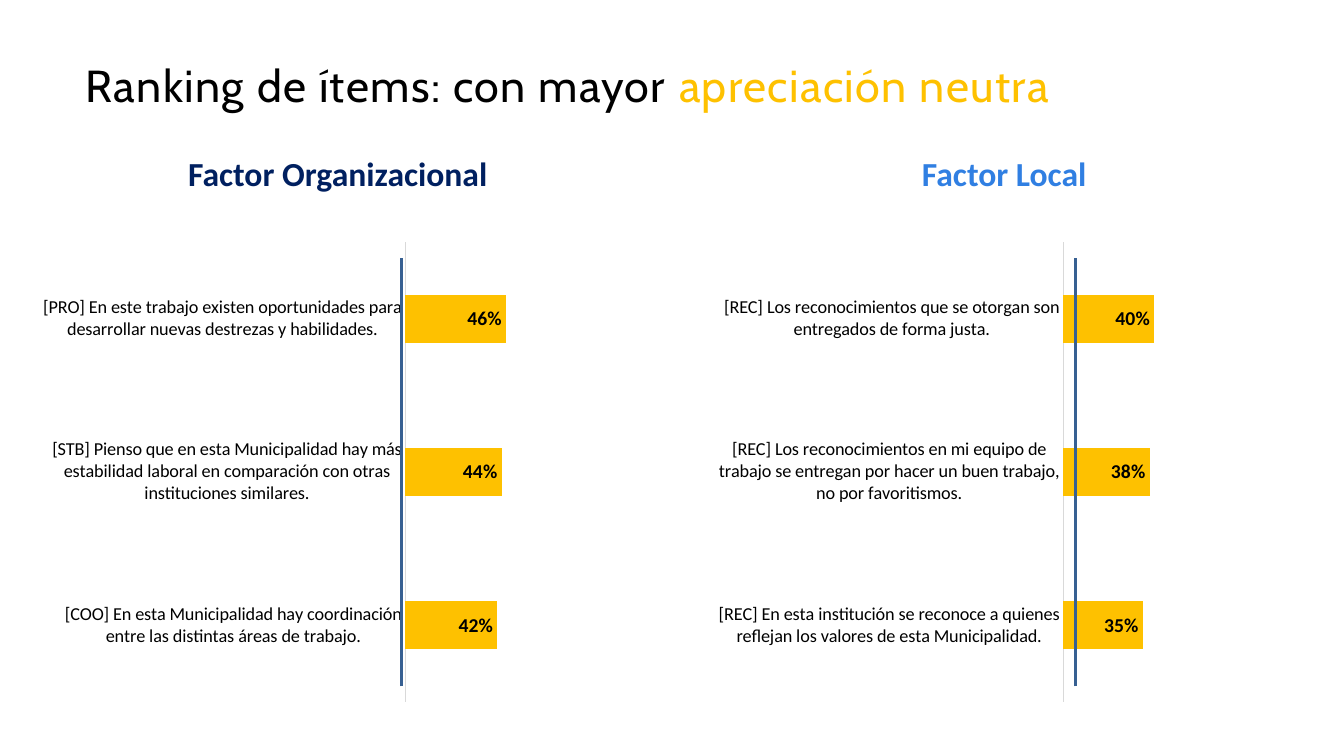
import dataclasses
import typing

import lxml.etree
import pptx
import pptx.chart.data
import pptx.dml.color
import pptx.enum.chart
import pptx.enum.shapes
import pptx.enum.text
import pptx.oxml.ns
import pptx.util

Inches = pptx.util.Inches
Align = pptx.enum.text.PP_ALIGN


@dataclasses.dataclass(frozen=True)
class Theme:
    black: str = "000000"
    white: str = "FFFFFF"
    gold: str = "FEC100"
    navy: str = "002060"
    blue: str = "307FE2"
    rule: str = "376092"
    axis: str = "D9D9D9"
    head: str = "Cabin"
    body: str = "Calibri"
    title: int = 32
    factor: int = 24
    value: int = 14
    item: int = 13
    base: int = 10


@dataclasses.dataclass(frozen=True)
class Factor:
    name: str
    color: str
    name_x: float
    chart_x: float
    rule_x: float
    items: tuple[tuple[str, float], ...]


THEME = Theme()
FACTORS = (
    Factor("Factor Organizacional", THEME.navy, 0.83, 0.4, 3.98, (
        ("[COO] En esta Municipalidad hay coordinación entre las distintas áreas de trabajo.", 0.42),
        ("[STB] Pienso que en esta Municipalidad hay más estabilidad laboral en comparación "
         "con otras instituciones similares.", 0.44),
        ("[PRO] En este trabajo existen oportunidades para desarrollar nuevas destrezas "
         "y habilidades.", 0.46),
    )),
    Factor("Factor Local", THEME.blue, 7.44, 7.01, 10.67, (
        ("[REC] En esta institución se reconoce a quienes reflejan los valores de esta "
         "Municipalidad.", 0.35),
        ("[REC] Los reconocimientos en mi equipo de trabajo se entregan por hacer un buen "
         "trabajo, no por favoritismos.", 0.38),
        ("[REC] Los reconocimientos que se otorgan son entregados de forma justa.", 0.40),
    )),
)


def tint(code: str) -> pptx.dml.color.RGBColor:
    return pptx.dml.color.RGBColor.from_string(code)


def style(font: typing.Any, size: int, color: str, face: str = THEME.body,
          bold: bool = False) -> None:
    font.size = pptx.util.Pt(size)
    font.name = face
    font.bold = bold
    font.color.rgb = tint(color)


def write(frame: typing.Any, text: str, *, size: int, color: str, face: str = THEME.body,
          bold: bool = False, align: Align = Align.LEFT, space: int = 0) -> None:
    line = frame.paragraphs[0]
    line.alignment = align
    line.line_spacing = 0.9
    run = line.add_run()
    run.text = text
    style(run.font, size, color, face, bold)
    if space:
        run.font._element.set("spc", str(space * 100))


def set_title(slide: typing.Any) -> None:
    title = slide.shapes.title
    title.left, title.top = Inches(0.85), Inches(0.34)
    title.width, title.height = Inches(11.78), Inches(1.06)
    frame = title.text_frame
    frame.margin_left = frame.margin_right = frame.margin_top = frame.margin_bottom = 0
    frame.vertical_anchor = pptx.enum.text.MSO_ANCHOR.MIDDLE
    for text, color in (("Ranking de ítems: con mayor ", THEME.black),
                        ("apreciación neutra", THEME.gold)):
        write(frame, text, size=THEME.title, color=color, face=THEME.head, space=1)


def add_name(slide: typing.Any, factor: Factor) -> None:
    box = slide.shapes.add_textbox(
        Inches(factor.name_x), Inches(1.58), Inches(5.04), Inches(0.33))
    frame = box.text_frame
    frame.word_wrap = True
    frame.vertical_anchor = pptx.enum.text.MSO_ANCHOR.MIDDLE
    write(frame, factor.name, size=THEME.factor, color=factor.color, bold=True,
          align=Align.CENTER)


def add_bars(slide: typing.Any, factor: Factor) -> None:
    data = pptx.chart.data.CategoryChartData(number_format="0%")
    data.categories = [text for text, share in factor.items]
    data.add_series("Series 1", [share for text, share in factor.items])
    chart = slide.shapes.add_chart(
        pptx.enum.chart.XL_CHART_TYPE.BAR_CLUSTERED, Inches(factor.chart_x), Inches(2.31),
        Inches(5.91), Inches(4.75), data).chart
    chart.has_legend = False
    chart.has_title = False
    style(chart.font, THEME.base, THEME.white)

    axis = chart.category_axis
    axis.major_tick_mark = axis.minor_tick_mark = pptx.enum.chart.XL_TICK_MARK.NONE
    axis.format.line.color.rgb = tint(THEME.axis)
    axis.format.line.width = pptx.util.Pt(0.75)
    style(axis.tick_labels.font, THEME.item, THEME.black)

    scale = chart.value_axis
    scale.minimum_scale, scale.maximum_scale = 0, 1
    scale.has_major_gridlines = False
    scale.visible = False

    plot = chart.plots[0]
    plot.gap_width = 219
    plot.vary_by_categories = False
    bars = plot.series[0]
    bars.format.fill.solid()
    bars.format.fill.fore_color.rgb = tint(THEME.gold)
    labels = bars.data_labels
    labels.show_value = True
    labels.number_format = "0%"
    labels.number_format_is_linked = False
    labels.position = pptx.enum.chart.XL_LABEL_POSITION.INSIDE_END
    style(labels.font, THEME.value, THEME.black, bold=True)


def add_rule(slide: typing.Any, factor: Factor) -> None:
    x = Inches(factor.rule_x)
    rule = slide.shapes.add_connector(
        pptx.enum.shapes.MSO_CONNECTOR.STRAIGHT, x, Inches(6.81), x, Inches(2.56))
    rule.line.color.rgb = tint(THEME.rule)
    rule.line.width = pptx.util.Pt(2)
    lxml.etree.SubElement(rule._element.spPr, pptx.oxml.ns.qn("a:effectLst"))


def main() -> None:
    deck = pptx.Presentation()
    deck.slide_width, deck.slide_height = Inches(13.33), Inches(7.5)
    slide = deck.slides.add_slide(deck.slide_layouts.get_by_name("Title Only"))
    set_title(slide)
    for draw in (add_name, add_bars, add_rule):
        for factor in FACTORS:
            draw(slide, factor)
    deck.save("out.pptx")


if __name__ == "__main__":
    main()
